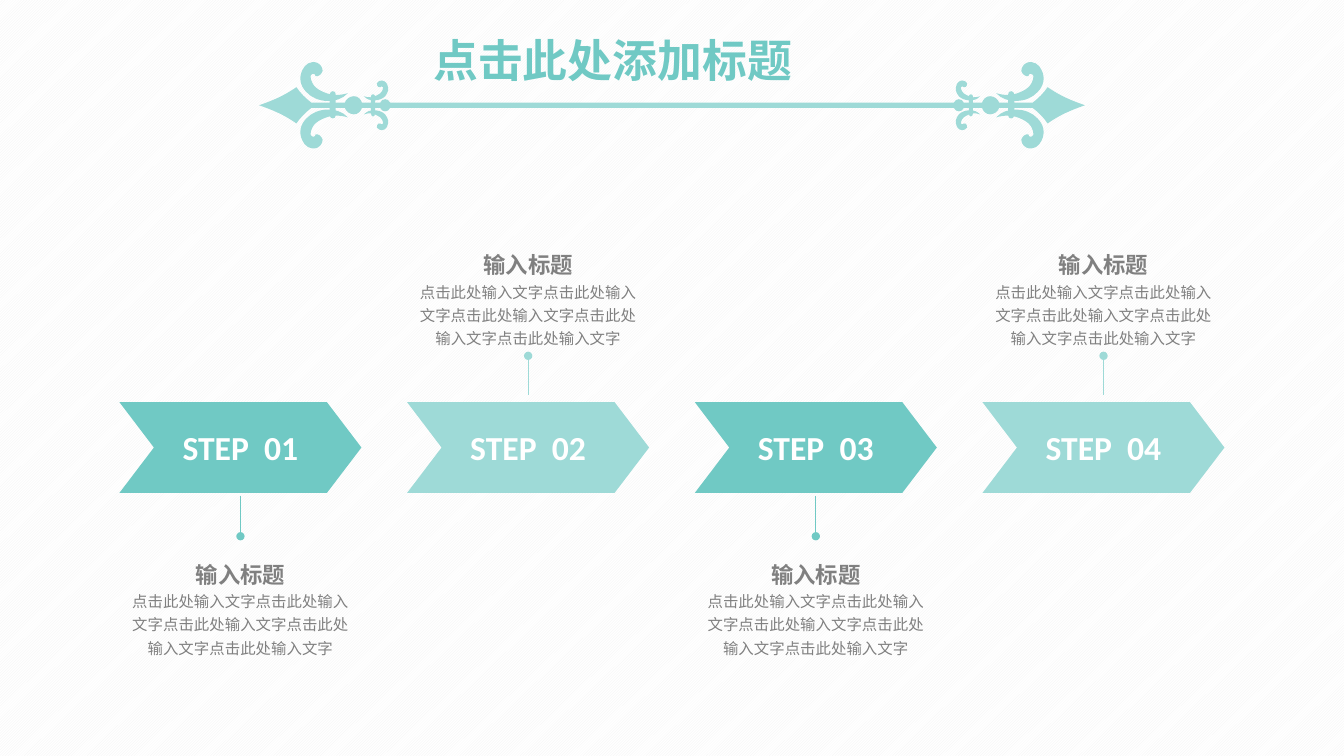
from lxml.etree import Element, SubElement
from pptx import Presentation
from pptx.dml.color import RGBColor
from pptx.enum.dml import MSO_PATTERN
from pptx.enum.shapes import MSO_CONNECTOR, MSO_SHAPE as SHAPE
from pptx.enum.text import MSO_ANCHOR, MSO_AUTO_SIZE, PP_ALIGN
from pptx.oxml.ns import qn
from pptx.util import Inches, Pt

SLIDE_W, SLIDE_H = 13.33, 7.5
TEAL, PALE, GREY, WHITE = "70C9C4", "9EDAD7", "808080", "FFFFFF"
STEPS = ["STEP  01", "STEP  02", "STEP  03", "STEP  04"]
STEP_TITLE = "输入标题"
STEP_BODY = "点击此处输入文字" * 5

# Ornament outlines: hundredths of an inch from the left tip on the axis.
# A pair is a straight segment, six numbers are a cubic curve.
BIG_SCROLL = [(56, -29), (56, -32, 52, -32, 51, -29), (51, -25, 53, -18, 62, -14),
              (70, -10, 78, -9, 88, -12), (78, -1, 57, -2, 47, -13),
              (41, -19, 39, -27, 43, -35), (45, -40, 51, -45, 58, -42),
              (62, -40, 63, -36, 63, -34), (62, -31, 59, -28, 56, -29)]
SMALL_SCROLL = [(120, -18), (121, -19, 122, -19, 123, -18), (123, -16, 122, -12, 117, -10),
                (113, -8, 109, -7, 104, -9), (109, -3, 120, -4, 125, -9),
                (128, -13, 129, -16, 127, -21), (126, -23, 123, -26, 119, -24),
                (117, -23, 116, -21, 117, -20), (117, -19, 119, -17, 120, -18)]
BIG_COLLAR = [(70, 10), (70, -11), (70, -13, 72, -14, 73, -14), (75, -14, 76, -13, 76, -11),
              (76, 10), (76, 12, 75, 13, 73, 13), (72, 13, 70, 12, 70, 10)]
SMALL_COLLAR = [(111, 8), (111, -9), (111, -10, 112, -11, 113, -11),
                (114, -11, 115, -10, 115, -9), (115, 8), (115, 10, 114, 11, 113, 11),
                (112, 11, 111, 10, 111, 8)]
SPEAR_AND_RAIL = [(0, 0), (14, -5, 24, -9, 37, -18), (41, -12, 46, -7, 52, -2.5),
                  (85, -2.5), (86, -6, 90, -9, 94, -9), (98, -9, 101, -6, 102, -2.5),
                  (120, -2.5), (121, -5, 123, -6, 125, -6), (127, -6, 129, -5, 130, -2.5)]


def color(hex_value):
    return RGBColor.from_string(hex_value)


def paint(shape, fill):
    shape.shadow.inherit = False
    shape.fill.solid()
    shape.fill.fore_color.rgb = color(fill)
    shape.line.fill.background()


def add_text(paragraph, text, align=PP_ALIGN.CENTER, spacing=None, ink=GREY, **font):
    paragraph.alignment = align
    paragraph.line_spacing = spacing
    run = paragraph.add_run()
    run.text = text
    for name, value in {"name": "Calibri", **font}.items():
        setattr(run.font, name, value)
    run.font.color.rgb = color(ink)


def add_frame(slide, box):
    frame = slide.shapes.add_textbox(*map(Inches, box)).text_frame
    frame.word_wrap = True
    frame.auto_size = MSO_AUTO_SIZE.SHAPE_TO_FIT_TEXT
    return frame


def knots(outline):
    """Start point, then three points for every segment, straight ones too."""
    points = [outline[0]]
    for segment in outline[1:]:
        if len(segment) == 2:
            points += [points[-1], segment, segment]
        else:
            points += [segment[i:i + 2] for i in (0, 2, 4)]
    return points


def join(first, second):
    """Two runs of knots with a straight segment between them."""
    return first + [first[-1], second[0]] + second


def add_outline(slide, contours):
    builder = None
    for contour in contours:
        points = [(Inches(x), Inches(y)) for x, y in contour]
        if builder is None:
            builder = slide.shapes.build_freeform(*points[0], scale=1.0)
        else:
            builder.move_to(*points[0])
        builder.add_line_segments(points[1:], close=True)
    shape = builder.convert_to_shape()
    paint(shape, PALE)
    # Every three straight segments become one cubic curve
    sides = list(shape._element.iter(qn("a:lnTo")))
    for triple in zip(sides[::3], sides[1::3], sides[2::3]):
        curve = Element(qn("a:cubicBezTo"))
        triple[0].addprevious(curve)
        for side in triple:
            curve.append(side[0])
            side.getparent().remove(side)


def draw_ornament(slide, box):
    left, top, width, height = box
    axis = top + height / 2

    def place(points, flip_x, flip_y=False):
        return [(left + (width - x / 100 if flip_x else x / 100),
                 axis + (-y if flip_y else y) / 100) for x, y in points]

    # Spearheads and the rail between them
    quarter = knots(SPEAR_AND_RAIL)
    upper, lower = [join(place(quarter, flip), place(quarter, not flip, flip)[::-1])
                    if not flip else
                    join(place(quarter, True, True), place(quarter, False, True)[::-1])
                    for flip in (False, True)]
    add_outline(slide, [upper + lower[1:]])
    # Scrolls and collars at both ends
    for flip_x in (False, True):
        for scroll in (BIG_SCROLL, SMALL_SCROLL):
            add_outline(slide, [place(knots(scroll), flip_x, flip_y)
                                for flip_y in (False, True)])
        for collar in (BIG_COLLAR, SMALL_COLLAR):
            add_outline(slide, [place(knots(collar), flip_x)])


def draw_heading(slide, box):
    add_text(add_frame(slide, box).paragraphs[0], "点击此处添加标题",
             align=PP_ALIGN.JUSTIFY, ink=TEAL, size=Pt(32), bold=True)


def draw_pin(slide, x, start, end, ink):
    pin = slide.shapes.add_connector(
        MSO_CONNECTOR.STRAIGHT, *map(Inches, (x, start, x, end)))
    pin.line.color.rgb = color(ink)
    pin.line.width = Pt(0.5)
    SubElement(pin.line._get_or_add_ln(), qn("a:tailEnd"), type="oval")
    SubElement(pin._element.spPr, qn("a:effectLst"))


def draw_step(slide, box, label, text_below):
    left, top, width, height = box
    bottom, centre = top + height, left + width / 2
    fill = TEAL if text_below else PALE
    # Arrow
    arrow = slide.shapes.add_shape(SHAPE.CHEVRON, *map(Inches, box))
    arrow.adjustments[0] = 0.38
    paint(arrow, fill)
    arrow.text_frame.vertical_anchor = MSO_ANCHOR.MIDDLE
    add_text(arrow.text_frame.paragraphs[0], label, ink=WHITE, size=Pt(24), bold=True)
    # Pin and description
    if text_below:
        draw_pin(slide, centre, bottom + 0.03, bottom + 0.43, fill)
        text_top = bottom + 0.56
    else:
        draw_pin(slide, centre, top - 0.07, top - 0.46, fill)
        text_top = top - 1.61
    frame = add_frame(slide, (left, text_top, width, 1.13))
    add_text(frame.paragraphs[0], STEP_TITLE, spacing=1.25, size=Pt(16), bold=True)
    add_text(frame.add_paragraph(), STEP_BODY, spacing=1.25, size=Pt(11), bold=False)


def draw_steps(slide, box, arrow_width=2.4):
    left, top, width, height = box
    pitch = (width - arrow_width) / (len(STEPS) - 1)
    for i, label in enumerate(STEPS):
        draw_step(slide, (left + i * pitch, top, arrow_width, height), label, i % 2 == 0)


def draw_background(slide):
    fill = slide.background.fill
    fill.patterned()
    fill.pattern = MSO_PATTERN.DARK_UPWARD_DIAGONAL
    fill.fore_color.rgb = color("F2F2F2")
    fill.back_color.rgb = color(WHITE)


def centred(width):
    return (SLIDE_W - width) / 2


def main():
    deck = Presentation()
    deck.slide_width, deck.slide_height = Inches(SLIDE_W), Inches(SLIDE_H)
    slide = deck.slides.add_slide(deck.slide_layouts[6])
    draw_background(slide)
    draw_steps(slide, (centred(10.96), 3.99, 10.96, 0.9))
    draw_heading(slide, (4.2, 0.28, 4.93, 0.64))
    draw_ornament(slide, (centred(8.19), 0.6, 8.19, 0.89))
    deck.save("out.pptx")


if __name__ == "__main__":
    main()
